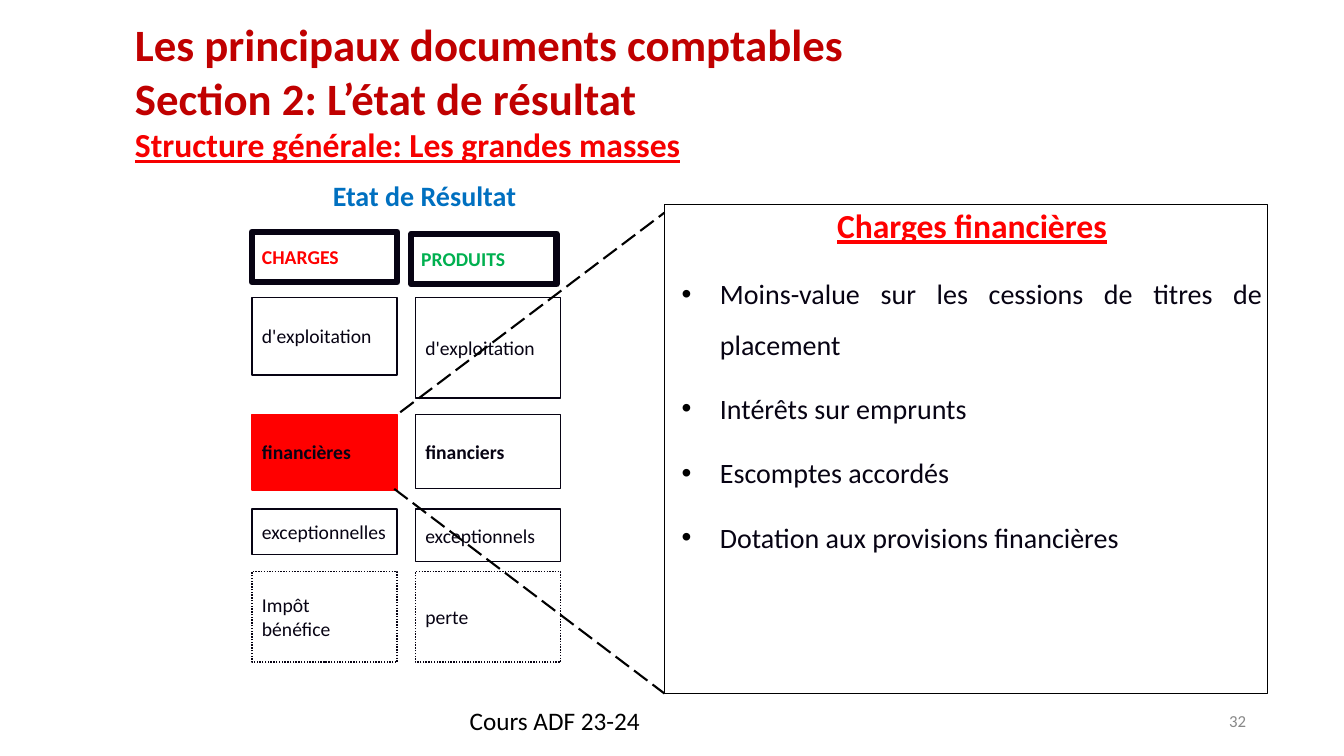
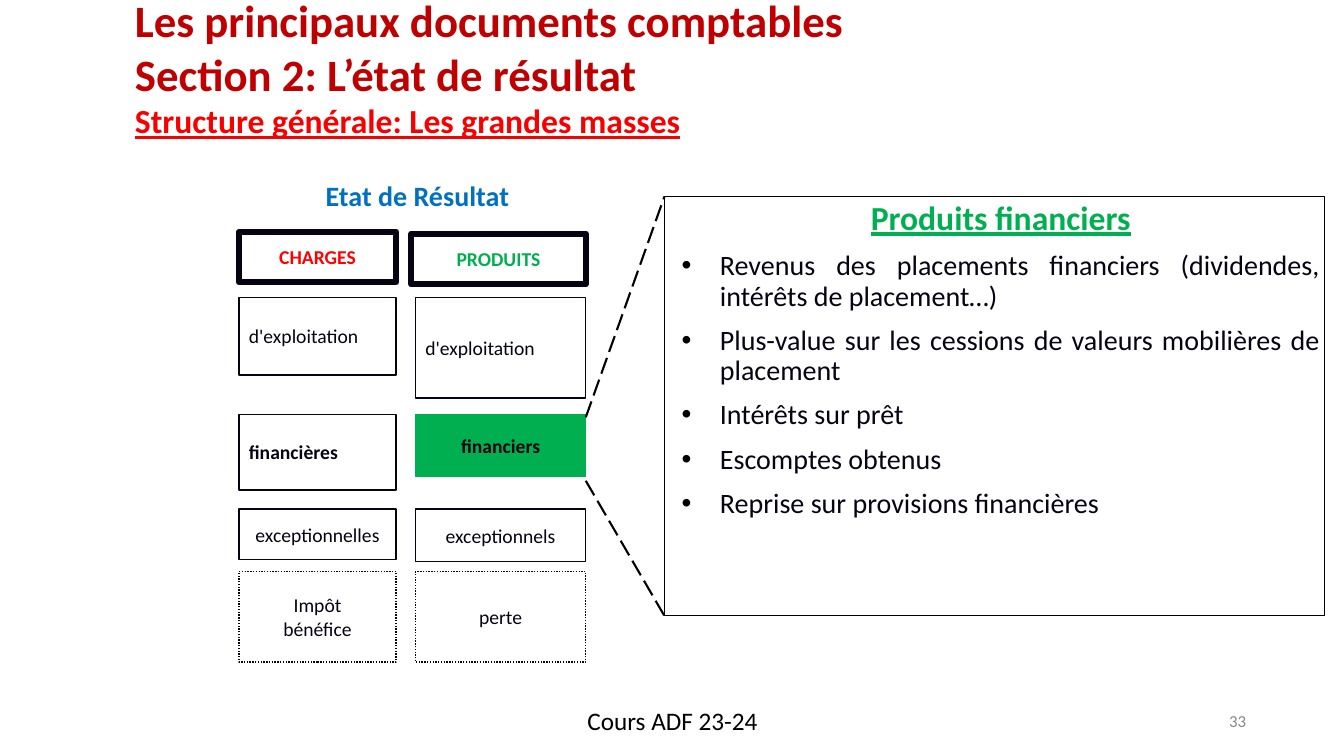
from dataclasses import dataclass

from lxml.etree import SubElement
from pptx import Presentation
from pptx.dml.color import RGBColor
from pptx.enum.dml import MSO_LINE
from pptx.enum.shapes import MSO_CONNECTOR, MSO_SHAPE
from pptx.enum.text import MSO_ANCHOR as Anchor, PP_ALIGN as Align
from pptx.oxml.ns import qn
from pptx.util import Inches, Pt


@dataclass(frozen=True)
class Theme:
    font: str = "Calibri"
    ink: str = "070313"
    black: str = "000000"
    title: str = "C00000"
    subtitle: str = "F60000"
    heading: str = "0070C0"
    charges: str = "FF0000"
    products: str = "00B050"
    muted: str = "888888"
    title_size: int = 32
    subtitle_size: int = 24
    body_size: int = 20
    footer_size: int = 18
    cell_size: int = 14
    number_size: int = 12


THEME = Theme()

# Content shared by the slides
TITLE = ["Les principaux documents comptables", "Section 2: L’état de résultat"]
SUBTITLE = "Structure générale: Les grandes masses"
DIAGRAM_HEADING = "Etat de Résultat"
FOOTER = "Cours ADF 23-24"
ROW_TOPS = [2.95, 4.11, 5.05, 5.67]
CHARGES = ["d'exploitation", "financières", "exceptionnelles", "Impôt\nbénéfice"]
PRODUCTS = ["d'exploitation", "financiers", "exceptionnels", "perte"]
BOLD_ROW, DOTTED_ROW = 1, 3
LEFT, CENTER = Align.LEFT, Align.CENTER

# Content of each slide; a column header is (left, top, width, alignment)
SLIDES = [
    dict(
        number="32", title_top=0.24, heading_left=2.21, footer_align=LEFT,
        columns=[
            dict(name="CHARGES", color=THEME.charges, header=(2.5, 2.3, 1.44, LEFT),
                 left=2.5, width=1.44, labels=CHARGES, heights=[0.77, 0.75, 0.45, 0.9],
                 aligns=[LEFT] * 4, highlight=True),
            dict(name="PRODUITS", color=THEME.products, header=(4.08, 2.32, 1.44, LEFT),
                 left=4.12, width=1.44, labels=PRODUCTS, heights=[1, 0.74, 0.52, 0.9],
                 aligns=[LEFT] * 4, highlight=False),
        ],
        guides=[((3.97, 4.09), (6.59, 2.11)), ((3.91, 4.85), (6.59, 6.88))],
        panel=(6.59, 2.03, 5.98, 4.85), panel_color=THEME.charges, spacing=1.5,
        panel_title="Charges financières",
        items=["Moins-value sur les cessions de titres de placement",
               "Intérêts sur emprunts",
               "Escomptes accordés",
               "Dotation aux provisions financières"],
    ),
    dict(
        number="33", title_top=0, heading_left=2.14, footer_align=CENTER,
        columns=[
            dict(name="CHARGES", color=THEME.charges, header=(2.37, 2.3, 1.56, CENTER),
                 left=2.37, width=1.56, labels=CHARGES, heights=[0.77, 0.75, 0.5, 0.9],
                 aligns=[LEFT, LEFT, CENTER, CENTER], highlight=False),
            dict(name="PRODUITS", color=THEME.products, header=(4.08, 2.32, 1.73, CENTER),
                 left=4.12, width=1.69, labels=PRODUCTS, heights=[1, 0.62, 0.52, 0.9],
                 aligns=[LEFT, CENTER, CENTER, CENTER], highlight=True),
        ],
        guides=[((5.81, 4.14), (6.59, 1.95)), ((5.81, 4.77), (6.59, 6.11))],
        panel=(6.59, 1.95, 6.55, 4.16), panel_color=THEME.products, spacing=0.9,
        panel_title="Produits financiers",
        items=["Revenus des placements financiers (dividendes, intérêts de placement…)",
               "Plus-value sur les cessions de valeurs mobilières de placement",
               "Intérêts sur prêt",
               "Escomptes obtenus",
               "Reprise sur provisions financières"],
    ),
]


# Text helpers
def style(para, size, color, bold=False, underline=False, align=LEFT):
    para.alignment = align
    font = para.font
    font.name, font.size = THEME.font, Pt(size)
    font.bold, font.underline = bold, underline
    font.color.rgb = RGBColor.from_string(color)


def write(frame, lines, *args, **options):
    """Write each line as a paragraph in one style."""
    for index, line in enumerate(lines):
        para = frame.paragraphs[0] if index == 0 else frame.add_paragraph()
        para.text = line
        style(para, *args, **options)


def set_insets(frame, side, edge):
    frame.margin_left = frame.margin_right = Inches(side)
    frame.margin_top = frame.margin_bottom = Inches(edge)


def indent(para, bullet=False):
    props = para._p.get_or_add_pPr()
    props.set("marL", str(Inches(0.5)))
    props.set("indent", str(Inches(-0.38)))
    if bullet:
        color = SubElement(props, qn("a:buClr"))
        SubElement(color, qn("a:srgbClr")).set("val", THEME.black)
        SubElement(props, qn("a:buFont")).set("typeface", "Arial")
        SubElement(props, qn("a:buChar")).set("char", "•")
        # The default run properties follow the bullet in the schema order
        props.append(props.find(qn("a:defRPr")))


# Shape helpers
def add_text(page, place, lines, *args, anchor=Anchor.TOP, side=0.1, **options):
    frame = page.shapes.add_textbox(*map(Inches, place)).text_frame
    frame.word_wrap = True
    frame.vertical_anchor = anchor
    set_insets(frame, side, 0.05)
    write(frame, lines, *args, **options)
    return frame


def add_box(page, place, line_color, line_width, fill=None):
    box = page.shapes.add_shape(MSO_SHAPE.RECTANGLE, *map(Inches, place))
    box.shadow.inherit = False
    if fill:
        box.fill.solid()
        box.fill.fore_color.rgb = RGBColor.from_string(fill)
    else:
        box.fill.background()
    box.line.color.rgb = RGBColor.from_string(line_color)
    box.line.width = Pt(line_width)
    return box


def add_cell(page, place, label, color, line_width=1, fill=None, dotted=False, **options):
    box = add_box(page, place, fill or THEME.ink, line_width, fill)
    if dotted:
        box.line.dash_style = MSO_LINE.ROUND_DOT
    frame = box.text_frame
    frame.word_wrap = False
    frame.vertical_anchor = Anchor.MIDDLE
    write(frame, label.split("\n"), THEME.cell_size, color, **options)


def add_guide(page, start, end):
    guide = page.shapes.add_connector(MSO_CONNECTOR.STRAIGHT, *map(Inches, start + end))
    guide.line.color.rgb = RGBColor.from_string(THEME.black)
    guide.line.width = Pt(1.5)
    guide.line.dash_style = MSO_LINE.LONG_DASH
    SubElement(guide._element.spPr, qn("a:effectLst"))


# Slide parts
def add_frame(page, slide):
    """Title, diagram heading, footer and slide number."""
    title = add_text(page, (1.24, slide["title_top"], 10.79, 1.32), TITLE,
                     THEME.title_size, THEME.title, bold=True, anchor=Anchor.MIDDLE)
    para = title.add_paragraph()
    para.text = SUBTITLE
    style(para, THEME.subtitle_size, THEME.subtitle, bold=True, underline=True)

    heading = add_text(page, (slide["heading_left"], 1.79, 4, 0.36), [DIAGRAM_HEADING],
                       THEME.body_size, THEME.heading, bold=True, align=CENTER,
                       anchor=Anchor.BOTTOM)
    heading.paragraphs[0].line_spacing = 0.75

    add_text(page, (4.56, 6.95, 4.22, 0.4), [FOOTER], THEME.footer_size, THEME.black,
             align=slide["footer_align"])
    add_text(page, (12.03, 7, 0.38, 0.3), [slide["number"]], THEME.number_size,
             THEME.muted, align=Align.RIGHT, anchor=Anchor.MIDDLE, side=0.05)


def add_column(page, column):
    left, top, width, align = column["header"]
    add_cell(page, (left, top, width, 0.5), column["name"], column["color"],
             line_width=4.5, bold=True, align=align)
    rows = zip(ROW_TOPS, column["heights"], column["labels"], column["aligns"])
    for row, (top, height, label, align) in enumerate(rows):
        marked = column["highlight"] and row == BOLD_ROW
        add_cell(page, (column["left"], top, column["width"], height), label, THEME.ink,
                 fill=column["color"] if marked else None, dotted=row == DOTTED_ROW,
                 bold=row == BOLD_ROW, align=align)


def add_panel(page, slide):
    frame = add_box(page, slide["panel"], THEME.black, 0.75).text_frame
    frame.word_wrap = True
    frame.vertical_anchor = Anchor.TOP
    set_insets(frame, 0.05, 0.05)
    write(frame, [slide["panel_title"]], THEME.subtitle_size, slide["panel_color"],
          bold=True, underline=True, align=CENTER)
    frame.paragraphs[0].line_spacing = 0.9
    indent(frame.paragraphs[0])
    for item in slide["items"]:
        para = frame.add_paragraph()
        para.text = item
        style(para, THEME.body_size, THEME.ink, align=Align.JUSTIFY)
        para.line_spacing = slide["spacing"]
        para.space_before = Pt(THEME.body_size / 2)
        indent(para, bullet=True)


def main():
    deck = Presentation()
    deck.slide_width, deck.slide_height = Inches(13.33), Inches(7.5)
    for slide in SLIDES:
        page = deck.slides.add_slide(deck.slide_layouts[6])
        for column in slide["columns"]:
            add_column(page, column)
        for start, end in slide["guides"]:
            add_guide(page, start, end)
        add_panel(page, slide)
        add_frame(page, slide)
    deck.save("out.pptx")


if __name__ == "__main__":
    main()
